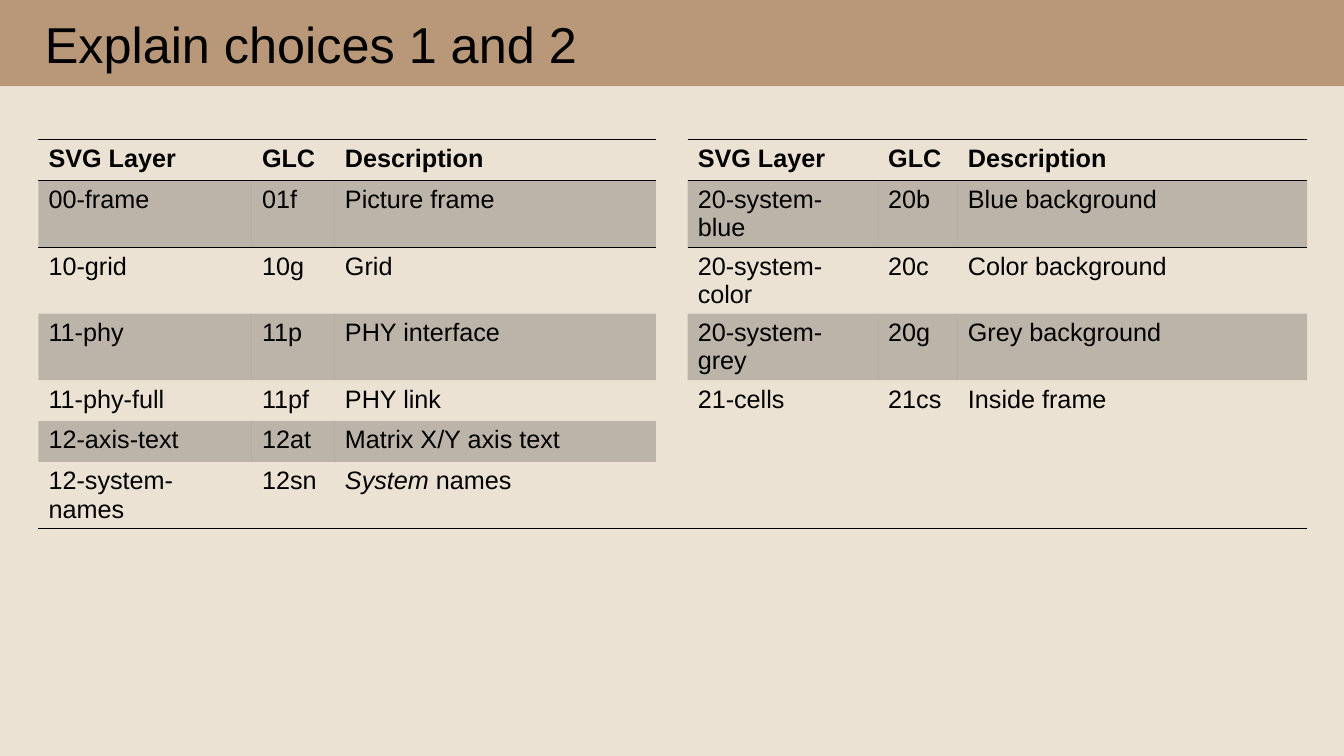
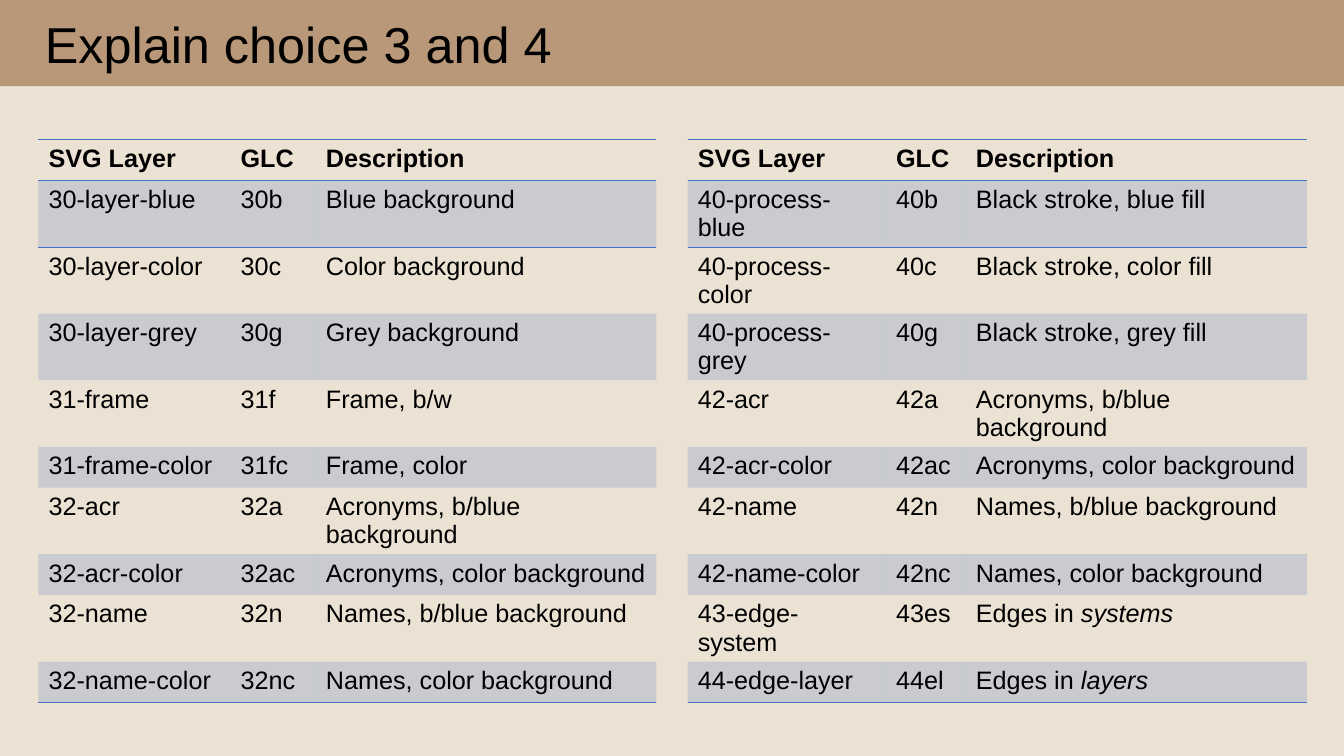
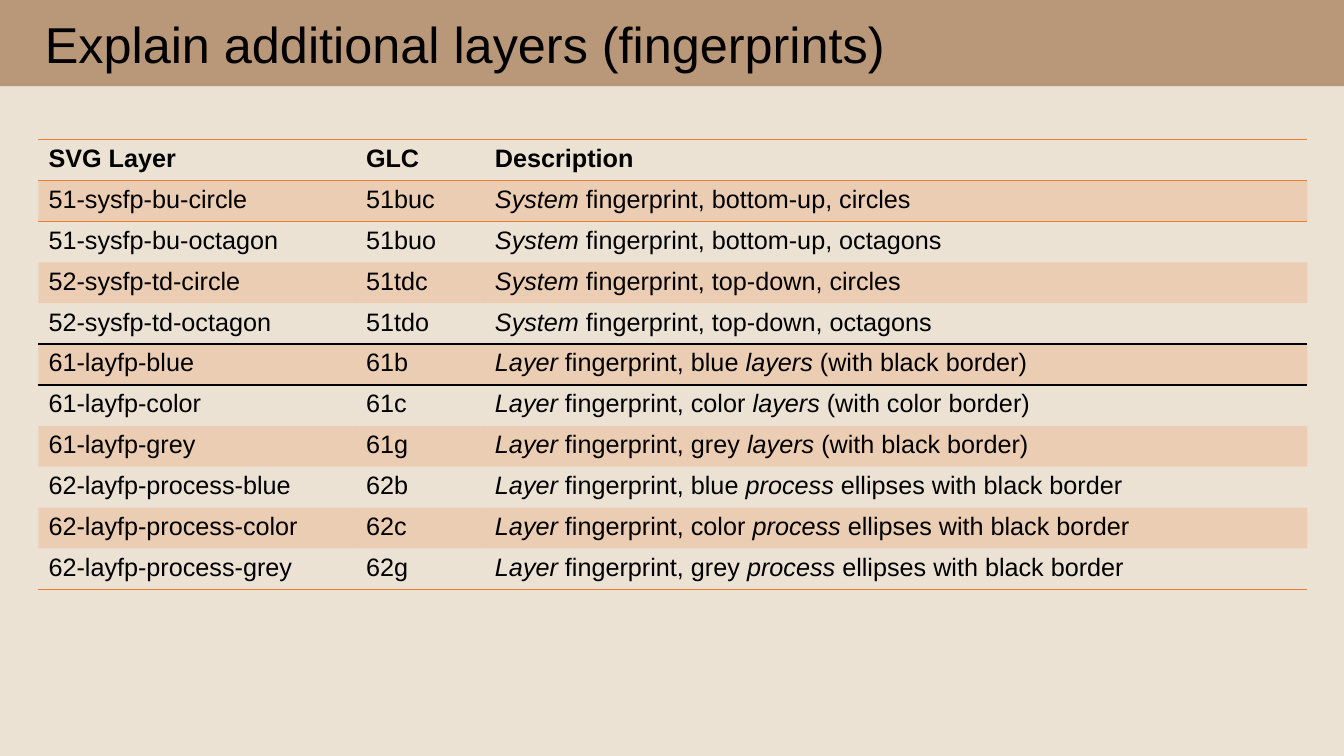
"""Build three slides of layer tables with a shared title band."""
from itertools import zip_longest

from lxml.etree import SubElement
from pptx import Presentation
from pptx.dml.color import RGBColor
from pptx.enum.shapes import MSO_SHAPE as Shape
from pptx.enum.text import MSO_ANCHOR as Anchor, PP_ALIGN as Align
from pptx.oxml.ns import qn
from pptx.util import Cm, Pt

FONT = "Arial"
BLACK, PAPER, BAND = "000000", "EBE2D4", "B89878"
BLUE, ORANGE = "4472C4", "ED7D31"
NO_STYLE = "{2D5ABB26-0587-4C30-8999-92F81FD0307C}"
WIDTH, HEIGHT, BAND_HEIGHT = 33.87, 19.05, 2.17
TABLE_LEFT, TABLE_TOP, ROW_HEIGHT = 0.97, 3.52, 1.03
HEADER = ("SVG Layer", "GLC", "Description")
EMPTY = ("", "", "")

SLIDES = [
    {
        "title": "Explain choices 1 and 2",
        "accent": BLACK,
        "columns": (5.38, 2.09, 8.09, 0.8, 4.8, 2.01, 8.8),
        "rule_across_gap": True,
        "groups": [
            [
                ("00-frame", "01f", "Picture frame"),
                ("10-grid", "10g", "Grid"),
                ("11-phy", "11p", "PHY interface"),
                ("11-phy-full", "11pf", "PHY link"),
                ("12-axis-text", "12at", "Matrix X/Y axis text"),
                ("12-system-names", "12sn", "*System* names"),
            ],
            [
                ("20-system-blue", "20b", "Blue background"),
                ("20-system-color", "20c", "Color background"),
                ("20-system-grey", "20g", "Grey background"),
                ("21-cells", "21cs", "Inside frame"),
            ],
        ],
    },
    {
        "title": "Explain choice 3 and 4",
        "accent": BLUE,
        "columns": (4.84, 2.15, 8.58, 0.79, 5, 2.01, 8.6),
        "groups": [
            [
                ("30-layer-blue", "30b", "Blue background"),
                ("30-layer-color", "30c", "Color background"),
                ("30-layer-grey", "30g", "Grey background"),
                ("31-frame", "31f", "Frame, b/w"),
                ("31-frame-color", "31fc", "Frame, color"),
                ("32-acr", "32a", "Acronyms, b/blue background"),
                ("32-acr-color", "32ac", "Acronyms, color background"),
                ("32-name", "32n", "Names, b/blue background"),
                ("32-name-color", "32nc", "Names, color background"),
            ],
            [
                ("40-process-blue", "40b", "Black stroke, blue fill"),
                ("40-process-color", "40c", "Black stroke, color fill"),
                ("40-process-grey", "40g", "Black stroke, grey fill"),
                ("42-acr", "42a", "Acronyms, b/blue background"),
                ("42-acr-color", "42ac", "Acronyms, color background"),
                ("42-name", "42n", "Names, b/blue background"),
                ("42-name-color", "42nc", "Names, color background"),
                ("43-edge-system", "43es", "Edges in *systems*"),
                ("44-edge-layer", "44el", "Edges in *layers*"),
            ],
        ],
    },
    {
        "title": "Explain additional layers (fingerprints)",
        "accent": ORANGE,
        "columns": (8, 3.25, 20.73),
        "black_rules": (5,),
        "groups": [
            [
                ("51-sysfp-bu-circle", "51buc", "*System* fingerprint, bottom-up, circles"),
                ("51-sysfp-bu-octagon", "51buo", "*System* fingerprint, bottom-up, octagons"),
                ("52-sysfp-td-circle", "51tdc", "*System* fingerprint, top-down, circles"),
                ("52-sysfp-td-octagon", "51tdo", "*System* fingerprint, top-down, octagons"),
                ("61-layfp-blue", "61b", "*Layer* fingerprint, blue *layers* (with black border)"),
                ("61-layfp-color", "61c", "*Layer* fingerprint, color *layers* (with color border)"),
                ("61-layfp-grey", "61g", "*Layer* fingerprint, grey *layers* (with black border)"),
                ("62-layfp-process-blue", "62b", "*Layer* fingerprint, blue *process* ellipses with black border"),
                ("62-layfp-process-color", "62c", "*Layer* fingerprint, color *process* ellipses with black border"),
                ("62-layfp-process-grey", "62g", "*Layer* fingerprint, grey *process* ellipses with black border"),
            ],
        ],
    },
]


def paint(fill, color):
    fill.solid()
    fill.fore_color.rgb = RGBColor.from_string(color)


def tint(cell, color, alpha):
    paint(cell.fill, color)
    srgb = cell._tc.tcPr.find(f"{qn('a:solidFill')}/{qn('a:srgbClr')}")
    SubElement(srgb, qn("a:alpha"), val=str(alpha * 1000))


def style(font, size, bold=False):
    font.name, font.size, font.bold = FONT, Pt(size), bold
    font.color.rgb = RGBColor.from_string(BLACK)


def write(p, text, size, bold=False):
    """Fill a paragraph; words between asterisks become italic."""
    style(p.font, size, bold)
    for i, part in enumerate(text.split("*")):
        if part:
            r = p.add_run()
            r.text = part
            style(r.font, size, bold)
            if i % 2:
                r.font.italic = True


def add_title(s, text):
    sp = s.shapes.add_shape(Shape.RECTANGLE, 0, 0, Cm(WIDTH), Cm(BAND_HEIGHT))
    sp.shadow.inherit = False
    paint(sp.fill, BAND)
    sp.line.fill.background()
    tf = sp.text_frame
    tf.word_wrap = True
    tf.vertical_anchor = Anchor.MIDDLE
    tf.margin_left, tf.margin_top = Cm(0.51), Cm(0.36)
    tf.margin_right, tf.margin_bottom = Cm(0.25), Cm(0.13)
    p = tf.paragraphs[0]
    p.alignment, p.line_spacing = Align.LEFT, 0.9
    pPr = p._p.get_or_add_pPr()
    pPr.set("marL", str(Cm(0.62)))
    pPr.set("indent", "0")
    write(p, text, 36)


def add_rule(cell, side, color):
    tcPr = cell._tc.get_or_add_tcPr()
    ln = SubElement(tcPr, qn("a:" + side), w=str(Pt(1)))
    SubElement(SubElement(ln, qn("a:solidFill")), qn("a:srgbClr"), val=color)


def join_groups(groups):
    """Set the groups side by side with an empty column between them."""
    rows = []
    for parts in zip_longest(*([HEADER] + g for g in groups), fillvalue=EMPTY):
        row = list(parts[0])
        for part in parts[1:]:
            row += ["", *part]
        rows.append(row)
    return rows


def add_layers(s, data):
    rows, columns, accent = join_groups(data["groups"]), data["columns"], data["accent"]
    last = len(rows)
    rules = {0: accent, 1: accent, last: accent}
    rules.update(dict.fromkeys(data.get("black_rules", ()), BLACK))
    table = s.shapes.add_table(
        last, len(columns), Cm(TABLE_LEFT), Cm(TABLE_TOP),
        Cm(sum(columns)), Cm(ROW_HEIGHT * last)).table
    table.first_row = table.horz_banding = False
    table._tbl.tblPr.find(qn("a:tableStyleId")).text = NO_STYLE
    for column, width in zip(table.columns, columns):
        column.width = Cm(width)
    for i, row in enumerate(rows):
        table.rows[i].height = Cm(ROW_HEIGHT)
        for j, text in enumerate(row):
            cell = table.cell(i, j)
            write(cell.text_frame.paragraphs[0], text, 18, bold=i == 0)
            for side, edge in (("lnT", i), ("lnB", i + 1)):
                across = edge == last and data.get("rule_across_gap")
                if edge in rules and (text or across):
                    add_rule(cell, side, rules[edge])
            if text and i % 2:
                tint(cell, accent, 20)
            else:
                cell.fill.background()


def main():
    prs = Presentation()
    prs.slide_width, prs.slide_height = Cm(WIDTH), Cm(HEIGHT)
    paint(prs.slide_master.background.fill, PAPER)
    for data in SLIDES:
        s = prs.slides.add_slide(prs.slide_layouts[6])
        add_title(s, data["title"])
        add_layers(s, data)
    prs.save("out.pptx")


if __name__ == "__main__":
    main()
